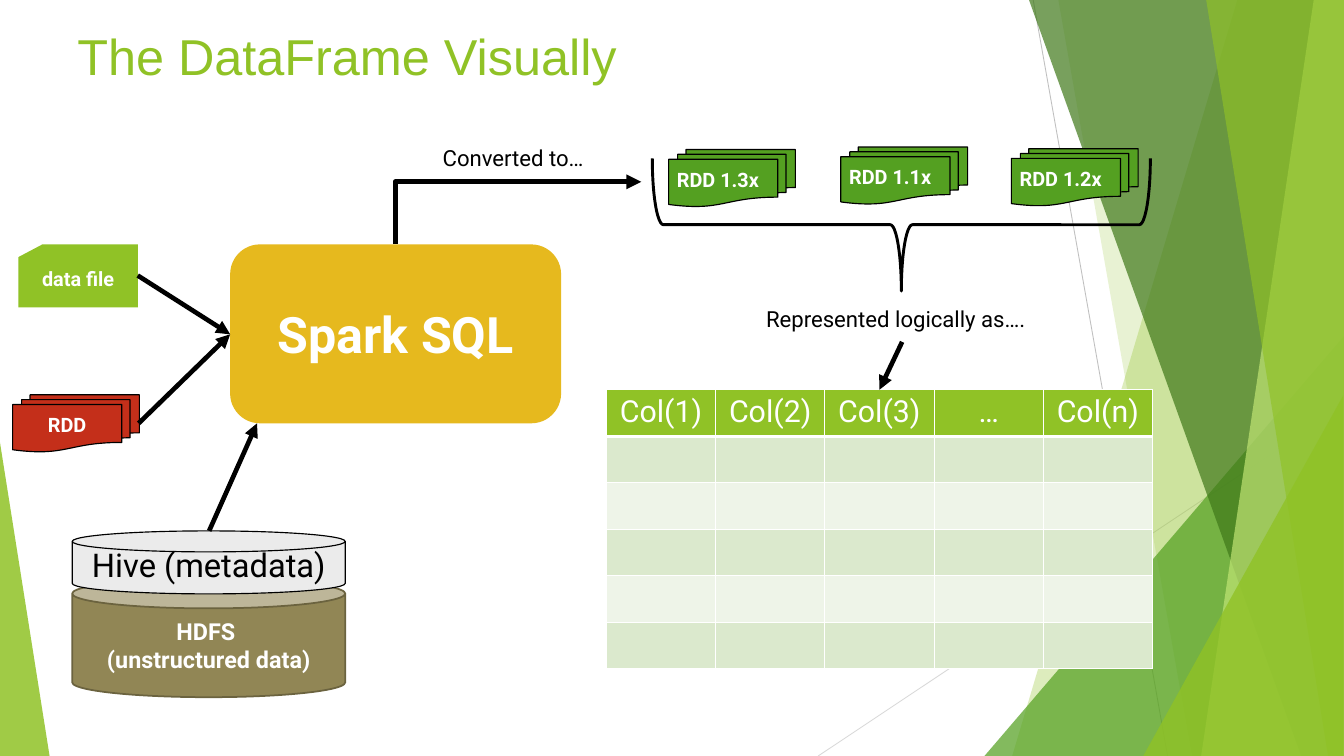
from pptx import Presentation
from pptx.dml.color import RGBColor
from pptx.enum.shapes import MSO_CONNECTOR, MSO_SHAPE
from pptx.enum.text import MSO_ANCHOR, PP_ALIGN
from pptx.oxml.ns import qn
from pptx.util import Pt
from lxml.etree import SubElement

# Content; all lengths in points
WIDTH, HEIGHT = 1152, 648
COLORS = {
    "lime": "90C226", "green": "54A021", "forest": "3F7819", "pale": "C0E474",
    "gold": "E6B91E", "red": "C42F1A", "khaki": "918655", "olive": "6B633F",
    "silver": "EBEBEB", "gray": "BFBFBF", "mist": "D9D9D9",
    "band": "DBE9CD", "light": "EEF4E8", "white": "FFFFFF", "black": "000000",
}
TITLE = "The DataFrame Visually"
HEADERS = ["Col(1)", "Col(2)", "Col(3)", "…", "Col(n)"]
BODY_ROWS = 5
TABLE_BOX = (519.84, 334.08, 468, 239.04)

# Background: thin lines, then facets and triangles from back to front
THIN_LINES = [((885.6, 0), (1000.8, HEIGHT), "gray"),
              ((WIDTH, 347.76), (701.28, HEIGHT), "mist")]
FACETS = [  # top x, bottom x, colour, opacity; or box, apex, colour, opacity
    (1060.56, 867.6, "lime", 30),
    (907.2, 1021.68, "lime", 20),
    ((843.84, 288, 308.16, 360), 1, "green", 72),
    (882, 1115.28, "forest", 70),
    (1126.08, 1029.6, "pale", 70),
    (1033.92, 1138.32, "lime", 65),
    ((979.92, 339.12, 171.36, 308.88), 1, "lime", 80),
    ((0, 379.44, 42.48, 268.56), 0, "lime", 85),
]

# Diagram: preset, box, fill, outline, text, text format
STACK = MSO_SHAPE.FLOWCHART_MULTIDOCUMENT
STACK_SIZE = (108.72, 48.96)
LABEL = {"size": 17, "bold": True, "color": "white", "inset": 7.2}
CENTERED = {**LABEL, "align": PP_ALIGN.CENTER, "inset": 8.64}
MIDDLE = {**CENTERED, "anchor": MSO_ANCHOR.MIDDLE}
NOTE = {"size": 19, "color": "black", "inset": 8.64}
THIN = ("black", 1)
NODES = [
    (STACK, (720.72, 126, *STACK_SIZE), "green", THIN, "RDD 1.1x", LABEL),
    (STACK, (573.12, 128.16, *STACK_SIZE), "green", THIN, "RDD 1.3x", LABEL),
    (STACK, (866.88, 127.44, *STACK_SIZE), "green", THIN, "RDD 1.2x", LABEL),
    (STACK, (10.8, 338.4, *STACK_SIZE), "red", THIN, "RDD", {**CENTERED, "inset": 7.2}),
    (MSO_SHAPE.FLOWCHART_CARD, (15.84, 209.52, 102.24, 54), "lime", None,
     "data file", CENTERED),
    (MSO_SHAPE.ROUNDED_RECTANGLE, (197.28, 209.52, 283.68, 153.36), "gold", None,
     "Spark SQL", {**MIDDLE, "size": 43}),
    (MSO_SHAPE.CAN, (61.92, 496.08, 234, 101.52), "khaki", ("olive", 1.5),
     "HDFS \v(unstructured data)", {**MIDDLE, "size": 20}),
    (MSO_SHAPE.FLOWCHART_MAGNETIC_DISK, (61.92, 455.04, 234, 54), "silver", THIN,
     "Hive (metadata)", {**MIDDLE, "size": 28, "bold": False, "color": "black",
                         "inset": 14.4, "spacing": 0.85}),
]
NOTES = [("Represented logically as….", (648, 252.72, 249.84, 40.32)),
         ("Converted to…", (370.8, 115.2, 249.84, 40.32))]
BRACE_BOX = (715.68, -20.88, 113.76, 426.96)
ARROWS = [((773.28, 293.04), (753.84, 334.08)),
          ((118.08, 236.16), (197.28, 286.56)),
          ((118.8, 362.88), (197.28, 286.56)),
          ((179.28, 455.04), (220.32, 362.88))]
ELBOW = ((470.88, 288), (417.6, 77.04))  # ends before the quarter turn


def rgb(name):
    return RGBColor.from_string(COLORS[name])


def points(values):
    return [Pt(value) for value in values]


def paint(shape, fill, outline=None, opacity=None):
    shape.shadow.inherit = False
    if fill:
        shape.fill.solid()
        shape.fill.fore_color.rgb = rgb(fill)
    else:
        shape.fill.background()
    if outline:
        shape.line.color.rgb = rgb(outline[0])
        shape.line.width = Pt(outline[1])
    else:
        shape.line.fill.background()
    if opacity:
        color = shape._element.spPr.find(qn("a:solidFill"))[0]
        SubElement(color, qn("a:alpha"), val=str(opacity * 1000))


def write(frame, text, style):
    inset = Pt(style["inset"])
    frame_format = {"word_wrap": True,
                    "vertical_anchor": style.get("anchor", MSO_ANCHOR.TOP),
                    "margin_left": inset, "margin_right": inset,
                    "margin_top": Pt(style.get("top", style["inset"])),
                    "margin_bottom": Pt(style.get("top", style["inset"]))}
    for name, value in frame_format.items():
        setattr(frame, name, value)
    para = frame.paragraphs[0]
    para.text = text
    para.alignment = style.get("align", PP_ALIGN.LEFT)
    para.line_spacing = style.get("spacing")
    font_format = {"name": style.get("font", "Roboto"), "size": Pt(style["size"]),
                   "bold": style.get("bold", False)}
    for span in para.runs:
        for name, value in font_format.items():
            setattr(span.font, name, value)
        span.font.color.rgb = rgb(style["color"])


def connect(page, start, end, color, width, kind=MSO_CONNECTOR.STRAIGHT, arrow=True):
    line = page.shapes.add_connector(kind, *points(start + end))
    line.line.color.rgb = rgb(color)
    line.line.width = Pt(width)
    properties = line._element.spPr
    if arrow:
        SubElement(properties.find(qn("a:ln")), qn("a:tailEnd"), type="triangle")
    SubElement(properties, qn("a:effectLst"))
    return line


def border(cell, bottom):
    properties = cell._tc.get_or_add_tcPr()
    for index, (side, width) in enumerate(zip("LRTB", (1, 1, 1, bottom))):
        edge = SubElement(properties, qn(f"a:ln{side}"), w=str(Pt(width)))
        fill = SubElement(edge, qn("a:solidFill"))
        SubElement(fill, qn("a:srgbClr"), val=COLORS["white"])
        properties.insert(index, edge)


def main():
    deck = Presentation()
    deck.slide_width, deck.slide_height = Pt(WIDTH), Pt(HEIGHT)
    page = deck.slides.add_slide(deck.slide_layouts[5])
    shapes = page.shapes

    # Background
    for start, end, color in THIN_LINES:
        connect(page, start, end, color, 0.75, arrow=False)
    for first, second, color, opacity in FACETS:
        if isinstance(first, tuple):
            facet = shapes.add_shape(MSO_SHAPE.ISOSCELES_TRIANGLE, *points(first))
            facet.adjustments[0] = second
        else:
            outline = shapes.build_freeform(Pt(first), 0)
            outline.add_line_segments([points(corner) for corner in (
                (WIDTH, 0), (WIDTH, HEIGHT), (second, HEIGHT))])
            facet = outline.convert_to_shape()
        paint(facet, color, opacity=opacity)

    # Title, in front of the background
    title = shapes.title
    title.left, title.top, title.width, title.height = points((57.6, 0, 1036.8, 95.76))
    write(title.text_frame, TITLE, {"size": 43.2, "font": "Arial", "color": "lime",
                                    "inset": 8.64, "top": 4.32,
                                    "anchor": MSO_ANCHOR.MIDDLE})
    title._element.getparent().append(title._element)

    # Table
    table = shapes.add_table(BODY_ROWS + 1, len(HEADERS), *points(TABLE_BOX)).table
    for row in range(BODY_ROWS + 1):
        for column, header in enumerate(HEADERS):
            cell = table.cell(row, column)
            cell.fill.solid()
            cell.fill.fore_color.rgb = rgb(("light", "band")[row % 2] if row else "lime")
            border(cell, 1 if row else 3)
            if row == 0:
                write(cell.text_frame, header, {**CENTERED, "size": 26, "bold": False})
                cell.margin_left = cell.margin_right = Pt(8.64)
                cell.margin_top = cell.margin_bottom = Pt(4.32)

    # Diagram nodes, brace and notes
    for preset, box, fill, outline, text, style in NODES:
        node = shapes.add_shape(preset, *points(box))
        paint(node, fill, outline)
        write(node.text_frame, text, style)
    brace = shapes.add_shape(MSO_SHAPE.RIGHT_BRACE, *points(BRACE_BOX))
    brace.rotation = 90
    paint(brace, None, ("black", 2.5))
    for text, box in NOTES:
        write(shapes.add_textbox(*points(box)).text_frame, text, NOTE)

    # Arrows
    for start, end in ARROWS:
        connect(page, start, end, "black", 4)
    elbow = connect(page, *ELBOW, "black", 4.25, MSO_CONNECTOR.ELBOW)
    properties = elbow._element.spPr
    properties.find(qn("a:xfrm")).set("rot", "5400000")
    properties.find(qn("a:prstGeom")).set("prst", "bentConnector2")

    deck.save("out.pptx")


if __name__ == "__main__":
    main()
